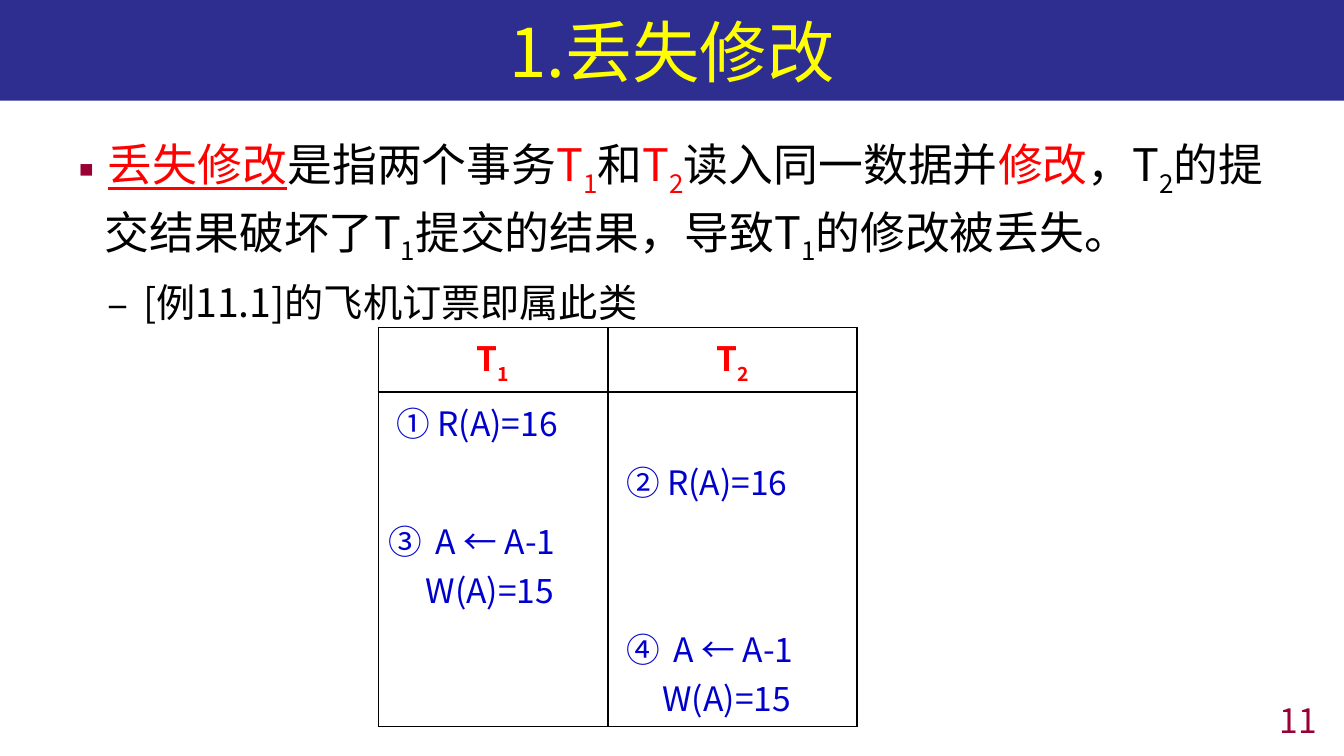
from dataclasses import dataclass
from typing import Any

import lxml.etree
import pptx
import pptx.dml.color
import pptx.enum.shapes
import pptx.enum.text
import pptx.oxml.ns
import pptx.util

Inches = pptx.util.Inches
Align = pptx.enum.text.PP_ALIGN
Anchor = pptx.enum.text.MSO_ANCHOR


@dataclass(frozen=True)
class Theme:
    font: str = "Noto Sans CJK SC"
    banner: str = "000078"
    banner_alpha: int = 82
    heading: str = "FFFF00"
    accent: str = "990033"
    key: str = "FF0000"
    body: str = "000000"
    step: str = "0000CC"
    heading_size: int = 48
    body_size: int = 32
    example_size: int = 28
    small_size: int = 24


THEME = Theme()


@dataclass(frozen=True)
class Run:
    text: str
    color: str = THEME.body
    baseline: int = 0
    underline: bool = False
    bold: bool = False


@dataclass(frozen=True)
class Line:
    runs: tuple[Run, ...]
    size: int
    align: Any = Align.LEFT
    margin: float = 0
    indent: float = 0
    spacing: float = 1.0
    before: float = 0
    bullet: str = ""
    bullet_color: str = THEME.body
    bullet_percent: int = 100


def rgb(value: str) -> pptx.dml.color.RGBColor:
    return pptx.dml.color.RGBColor.from_string(value)


def apply_format(target: Any, values: dict[str, Any]) -> None:
    for attribute, value in values.items():
        setattr(target, attribute, value)


def add_element(parent: Any, tag: str, **attributes: str) -> Any:
    return lxml.etree.SubElement(parent, pptx.oxml.ns.qn(tag), attributes)


def write_run(paragraph: Any, run: Run, size: int) -> None:
    written = paragraph.add_run()
    written.text = run.text
    apply_format(written.font, {
        "name": THEME.font, "size": pptx.util.Pt(size),
        "bold": run.bold, "underline": run.underline,
    })
    written.font.color.rgb = rgb(run.color)
    properties = written.font._element
    add_element(properties, "a:ea", typeface=THEME.font)
    if run.baseline:
        properties.set("baseline", str(run.baseline * 1000))


def write_lines(frame: Any, lines: list[Line]) -> None:
    for index, line in enumerate(lines):
        paragraph = frame.add_paragraph() if index else frame.paragraphs[0]
        apply_format(paragraph, {
            "alignment": line.align, "line_spacing": line.spacing,
            "space_before": pptx.util.Pt(line.before),
        })
        properties = paragraph._p.get_or_add_pPr()
        properties.set("marL", str(Inches(line.margin)))
        properties.set("indent", str(Inches(line.indent)))
        if line.bullet:
            color = add_element(properties, "a:buClr")
            add_element(color, "a:srgbClr", val=line.bullet_color)
            add_element(properties, "a:buSzPct", val=str(line.bullet_percent * 1000))
            add_element(properties, "a:buFont", typeface=THEME.font)
            add_element(properties, "a:buChar", char=line.bullet)
        for run in line.runs:
            write_run(paragraph, run, line.size)


def add_banner(slide: Any, heading: str) -> None:
    banner = slide.shapes.add_shape(
        pptx.enum.shapes.MSO_SHAPE.RECTANGLE, 0, 0, Inches(13.33), Inches(1))
    banner.shadow.inherit = False
    banner.fill.solid()
    banner.fill.fore_color.rgb = rgb(THEME.banner)
    color = banner._element.spPr.find(".//" + pptx.oxml.ns.qn("a:srgbClr"))
    add_element(color, "a:alpha", val=str(THEME.banner_alpha * 1000))
    banner.line.fill.background()
    banner.text_frame.vertical_anchor = Anchor.MIDDLE
    write_lines(banner.text_frame, [
        Line((Run(heading, THEME.heading),), THEME.heading_size, Align.CENTER)])


def add_text(slide: Any, box: tuple[float, ...], lines: list[Line], anchor: Any) -> None:
    frame = slide.shapes.add_textbox(*map(Inches, box)).text_frame
    apply_format(frame, {"word_wrap": True, "vertical_anchor": anchor, "margin_left": 0})
    write_lines(frame, lines)


def draw_borders(cell: Any, edges: dict[str, bool]) -> None:
    properties = cell._tc.get_or_add_tcPr()
    for edge, visible in edges.items():
        border = add_element(properties, f"a:ln{edge}", w=str(pptx.util.Pt(1)))
        if visible:
            fill = add_element(border, "a:solidFill")
            add_element(fill, "a:srgbClr", val=THEME.body)
        else:
            add_element(border, "a:noFill")
    cell.fill.background()


def add_schedule(slide: Any, rows: list[list[list[Line]]]) -> None:
    widths = (2.28, 2.47)
    heights = (0.64, 0.59, 0.59, 1.07, 1.07)
    schedule = slide.shapes.add_table(
        len(rows), len(widths), *map(Inches, (3.75, 3.25, sum(widths), sum(heights)))).table
    apply_format(schedule, {"first_row": False, "horz_banding": False})
    for column, width in zip(schedule.columns, widths):
        column.width = Inches(width)
    for index, (row, height) in enumerate(zip(schedule.rows, heights)):
        row.height = Inches(height)
        for cell, lines in zip(row.cells, rows[index]):
            apply_format(cell, {
                "margin_left": Inches(0.1), "margin_right": Inches(0.1),
                "margin_top": Inches(0.05), "margin_bottom": Inches(0.05),
            })
            write_lines(cell.text_frame, lines)
            draw_borders(cell, {
                "L": True, "R": True, "T": index < 2,
                "B": index in (0, len(rows) - 1),
            })


def transaction(number: str) -> list[Line]:
    runs = (Run("T", THEME.key, bold=True), Run(number, THEME.key, -30, bold=True))
    return [Line(runs, THEME.small_size, Align.CENTER)]


def step(text: str, margin: float = 0.08, indent: float = 0) -> Line:
    return Line((Run(text, THEME.step),), THEME.small_size, margin=margin, indent=indent)


def main() -> None:
    presentation = pptx.Presentation()
    apply_format(presentation, {"slide_width": Inches(13.33), "slide_height": Inches(7.5)})
    slide = presentation.slides.add_slide(presentation.slide_layouts[6])

    definition = (
        Run("丢失修改", THEME.key, underline=True), Run("是指两个事务"),
        Run("T", THEME.key), Run("1", THEME.key, -25), Run("和"),
        Run("T", THEME.key), Run("2", THEME.key, -25), Run("读入同一数据并"),
        Run("修改", THEME.key), Run("，T"), Run("2", baseline=-25),
        Run("的提交结果破坏了T"), Run("1", baseline=-25),
        Run("提交的结果，导致T"), Run("1", baseline=-25), Run("的修改被丢失。"),
    )
    explanation = [
        Line(definition, THEME.body_size, margin=0.39, indent=-0.39, spacing=1.1,
             before=6.4, bullet="▪", bullet_color=THEME.accent, bullet_percent=95),
        Line((Run("[例11.1]的飞机订票即属此类"),), THEME.example_size, margin=0.77,
             indent=-0.35, spacing=1.1, before=5.6, bullet="–"),
    ]
    page_number = Line((Run("11", THEME.accent),), THEME.small_size, Align.RIGHT)
    schedule = [
        [transaction("1"), transaction("2")],
        [[step("① R(A)=16")], []],
        [[], [step("② R(A)=16")]],
        [[step("③\tA ← A-1", 0.47, -0.47), step("W(A)=15", 0.37)], []],
        [[], [step("④\tA ← A-1", 0.55, -0.47), step("W(A)=15", 0.44)]],
    ]

    add_banner(slide, "1.丢失修改")
    add_text(slide, (0.65, 1.25, 12.04, 5.9), explanation, Anchor.TOP)
    add_text(slide, (10.33, 6.99, 2.83, 0.31), [page_number], Anchor.MIDDLE)
    add_schedule(slide, schedule)
    presentation.save("out.pptx")


if __name__ == "__main__":
    main()
